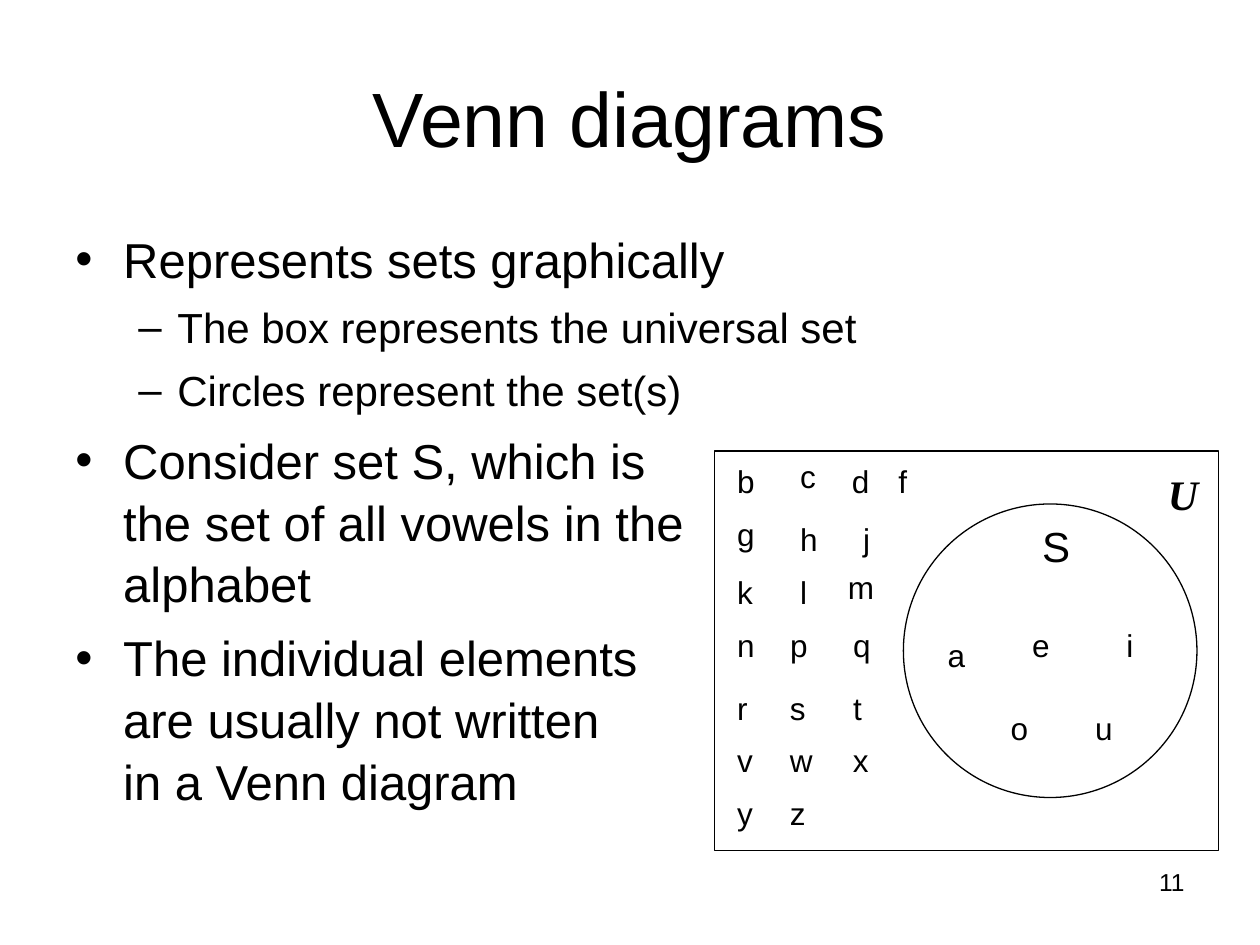
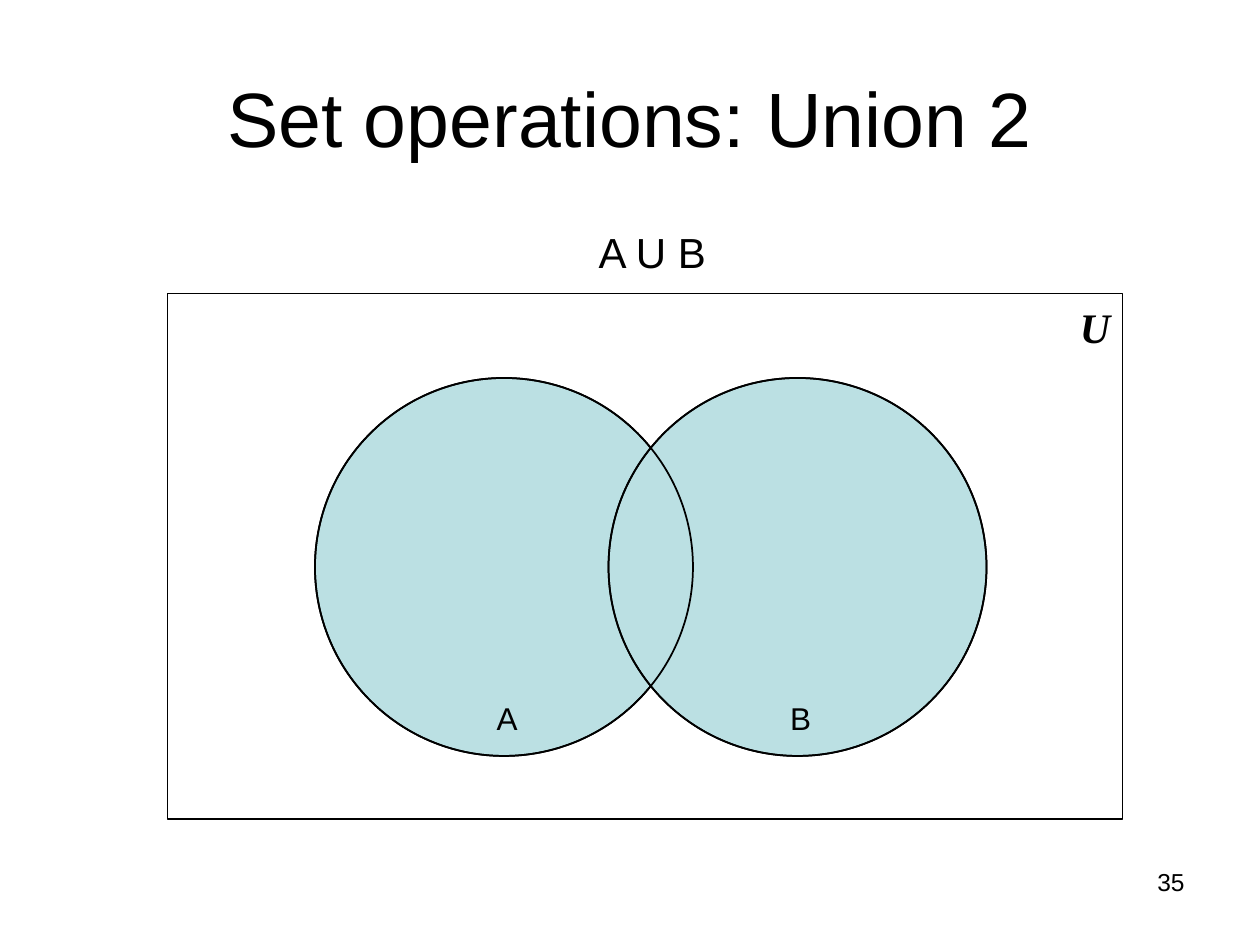
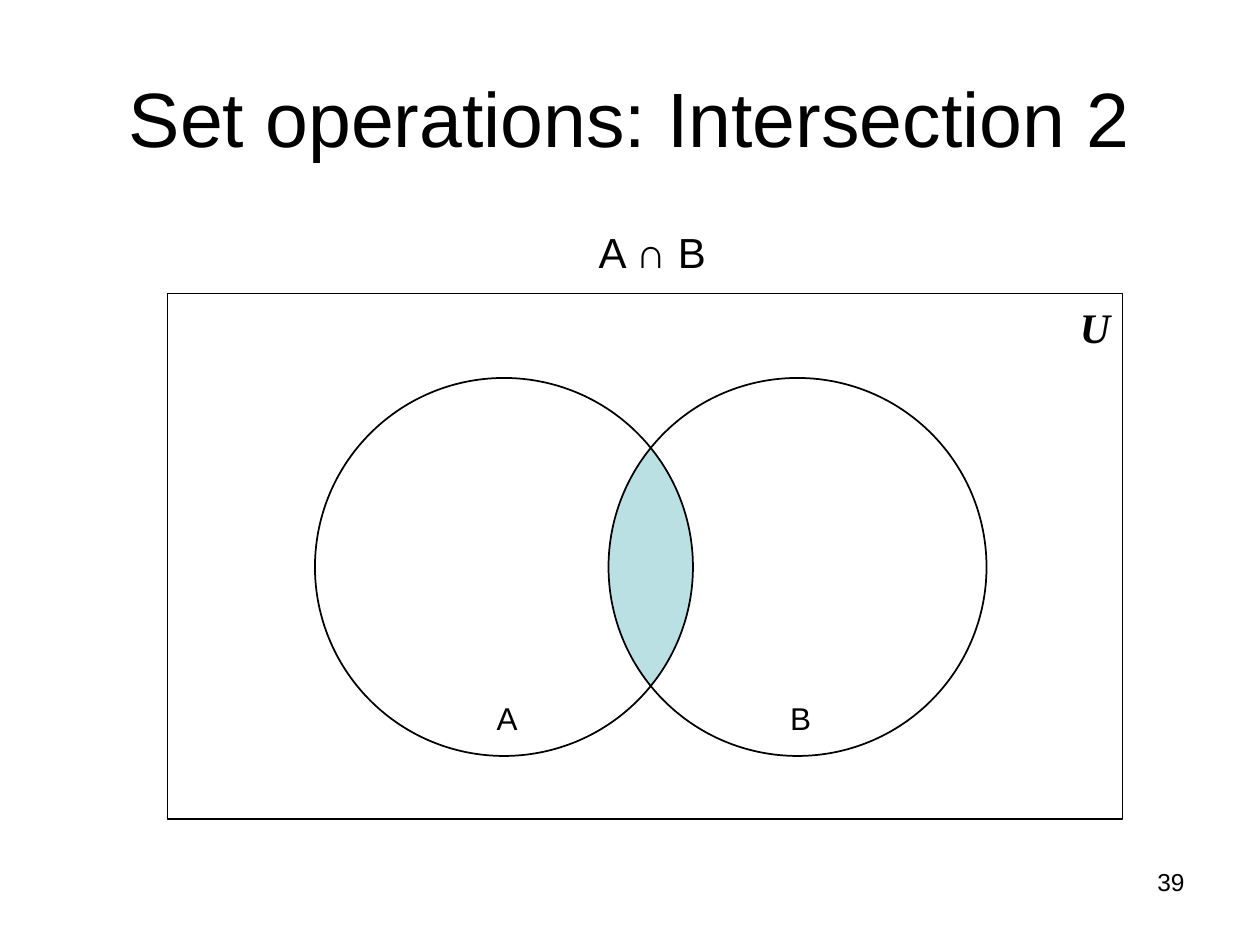
from math import acos, cos, sin

from lxml.etree import SubElement
from pptx import Presentation
from pptx.dml.color import RGBColor
from pptx.enum.shapes import MSO_SHAPE
from pptx.enum.text import MSO_ANCHOR, PP_ALIGN
from pptx.oxml.ns import qn
from pptx.util import Inches, Pt

# Shared style
SANS, SERIF = "Arial", "Times New Roman"
BLACK, SHADE = "000000", "BBE0E3"

# Width of each character as a share of its size
CHARACTER_WIDTHS = {
    character: width
    for characters, width in [
        ("ijl", 0.22), ("ft ", 0.28), ("r", 0.33), ("ckvsxyz", 0.5),
        ("abdeghnopqu", 0.56), ("ABS", 0.67), ("wU∩", 0.72), ("m", 0.83),
    ]
    for character in characters
}

# Content: bullet level and the lines of each paragraph
VENN_POINTS = [
    (0, ["Represents sets graphically"]),
    (1, ["The box represents the universal set"]),
    (1, ["Circles represent the set(s)"]),
    (0, ["Consider set S, which is", "the set of all vowels in the", "alphabet"]),
    (0, ["The individual elements", "are usually not written", "in a Venn diagram"]),
]
# Per level: bullet, text size, indent, hanging, space before
BULLET_LEVELS = [("•", 28, 0.38, 0.38, 7), ("–", 24, 0.81, 0.31, 6)]

# Letters with their left and top
VOWELS = [("a", 7.42, 5), ("e", 8.09, 4.92), ("i", 8.84, 4.92),
          ("o", 7.92, 5.58), ("u", 8.59, 5.58)]
CONSONANTS = [
    ("b", 5.75, 3.62), ("c", 6.25, 3.58), ("d", 6.66, 3.62), ("f", 7.03, 3.62),
    ("g", 5.75, 4.04), ("h", 6.25, 4.08), ("j", 6.75, 4.08),
    ("k", 5.75, 4.5), ("l", 6.25, 4.5), ("m", 6.63, 4.46),
    ("n", 5.75, 4.92), ("p", 6.17, 4.92), ("q", 6.67, 4.92),
    ("r", 5.75, 5.42), ("s", 6.17, 5.42), ("t", 6.67, 5.42),
    ("v", 5.75, 5.83), ("w", 6.17, 5.83), ("x", 6.67, 5.83),
    ("y", 5.75, 6.25), ("z", 6.17, 6.25),
]

# The two sets of the operation slides
RADIUS, CENTER_Y = 1.5, 4.5
SET_CENTERS = {"A": 4, "B": 6.33}


def color(value):
    return RGBColor.from_string(value)


def add_span(para, text, size, font=SANS, emphasis=False):
    span = para.add_run()
    span.text = text
    span.font.size = Pt(size)
    span.font.name = font
    span.font.bold = span.font.italic = emphasis
    span.font.color.rgb = color(BLACK)


def add_box(page, left, top, width, height, wrap=True):
    box = page.shapes.add_textbox(Inches(left), Inches(top), Inches(width), Inches(height))
    box.text_frame.word_wrap = wrap
    return box.text_frame


def add_text(page, text, place, size, align, anchor=MSO_ANCHOR.TOP):
    frame = add_box(page, *place)
    frame.vertical_anchor = anchor
    para = frame.paragraphs[0]
    para.alignment = align
    add_span(para, text, size)


def add_label(page, text, left, top, size=18, font=SANS, emphasis=False):
    """Place a label whose box fits its text."""
    width = 0.2 + sum(CHARACTER_WIDTHS[character] for character in text) * size / 72
    height = 0.1 + size / 60
    para = add_box(page, left, top, width, height, wrap=False).paragraphs[0]
    para.alignment = PP_ALIGN.CENTER
    add_span(para, text, size, font, emphasis)


def paint(shape, fill=None, line=None):
    shape.shadow.inherit = False
    if fill:
        shape.fill.solid()
        shape.fill.fore_color.rgb = color(fill)
    else:
        shape.fill.background()
    if line:
        shape.line.color.rgb = color(BLACK)
        shape.line.width = Pt(line)
    else:
        shape.line.fill.background()


def add_outline(page, kind, left, top, width, height, line=1, fill=None):
    shape = page.shapes.add_shape(kind, Inches(left), Inches(top), Inches(width), Inches(height))
    paint(shape, fill, line)


def add_universe(page, left, top, width, height, label_left, label_top, line=1):
    add_outline(page, MSO_SHAPE.RECTANGLE, left, top, width, height, line)
    add_label(page, "U", label_left, label_top, 24, SERIF, emphasis=True)


def add_page(deck, title, number):
    page = deck.slides.add_slide(deck.slide_layouts[6])
    add_text(page, title, (0.5, 0.3, 9, 1.25), 44, PP_ALIGN.CENTER, MSO_ANCHOR.MIDDLE)
    add_text(page, number, (7.17, 6.83, 2.33, 0.52), 14, PP_ALIGN.RIGHT)
    return page


def add_bullets(page, points):
    frame = add_box(page, 0.5, 1.75, 9, 4.83)
    for index, (level, lines) in enumerate(points):
        bullet, size, indent, hanging, space = BULLET_LEVELS[level]
        para = frame.add_paragraph() if index else frame.paragraphs[0]
        para.level = level
        para.line_spacing = 1.05
        para.space_before = Pt(space if index else 0)
        properties = para._p.get_or_add_pPr()
        properties.set("marL", str(Inches(indent)))
        properties.set("indent", str(-Inches(hanging)))
        SubElement(properties, qn("a:buFont"), typeface=SANS)
        SubElement(properties, qn("a:buChar"), char=bullet)
        for line_index, line in enumerate(lines):
            if line_index:
                para.add_line_break()
            add_span(para, line, size)


def add_set_circles(page, fill=None):
    for center in SET_CENTERS.values():
        add_outline(page, MSO_SHAPE.OVAL, center - RADIUS, CENTER_Y - RADIUS,
                    2 * RADIUS, 2 * RADIUS, fill=fill)


def add_overlap(page, steps=40):
    """Shade the lens bounded by the right arc of A and the left arc of B."""
    limit = acos((SET_CENTERS["B"] - SET_CENTERS["A"]) / 2 / RADIUS)
    points = []
    for center, side in ((SET_CENTERS["A"], 1), (SET_CENTERS["B"], -1)):
        for step in range(steps + 1):
            angle = side * limit * (2 * step / steps - 1)
            points.append((Inches(center + side * RADIUS * cos(angle)),
                           Inches(CENTER_Y + RADIUS * sin(angle))))
    builder = page.shapes.build_freeform(*points[0])
    builder.add_line_segments(points[1:], close=True)
    paint(builder.convert_to_shape(), SHADE)


def add_operation_page(deck, title, number, formula, union):
    page = add_page(deck, title, number)
    add_universe(page, 1.33, 2.33, 7.58, 4.17, 8.47, 2.34)
    if union:
        add_set_circles(page, SHADE)
    else:
        add_overlap(page)
    add_set_circles(page)
    for name, center in SET_CENTERS.items():
        add_label(page, name, center - 0.16, 5.5)
    add_label(page, formula, 4.64, 1.75, 24)


def add_venn_page(deck):
    page = add_page(deck, "Venn diagrams", "11")
    add_bullets(page, VENN_POINTS)
    add_universe(page, 5.67, 3.58, 4, 3.17, 9.17, 3.67, line=0.75)
    add_outline(page, MSO_SHAPE.OVAL, 7.17, 4, 2.33, 2.33, line=0.75)
    add_label(page, "S", 8.17, 4.08, 24)
    for letter, left, top in VOWELS + CONSONANTS:
        add_label(page, letter, left, top)


def main():
    deck = Presentation()
    deck.slide_width, deck.slide_height = Inches(10), Inches(7.5)
    add_venn_page(deck)
    add_operation_page(deck, "Set operations: Union 2", "35", "A U B", union=True)
    add_operation_page(deck, "Set operations: Intersection 2", "39", "A ∩ B", union=False)
    deck.save("out.pptx")


if __name__ == "__main__":
    main()
